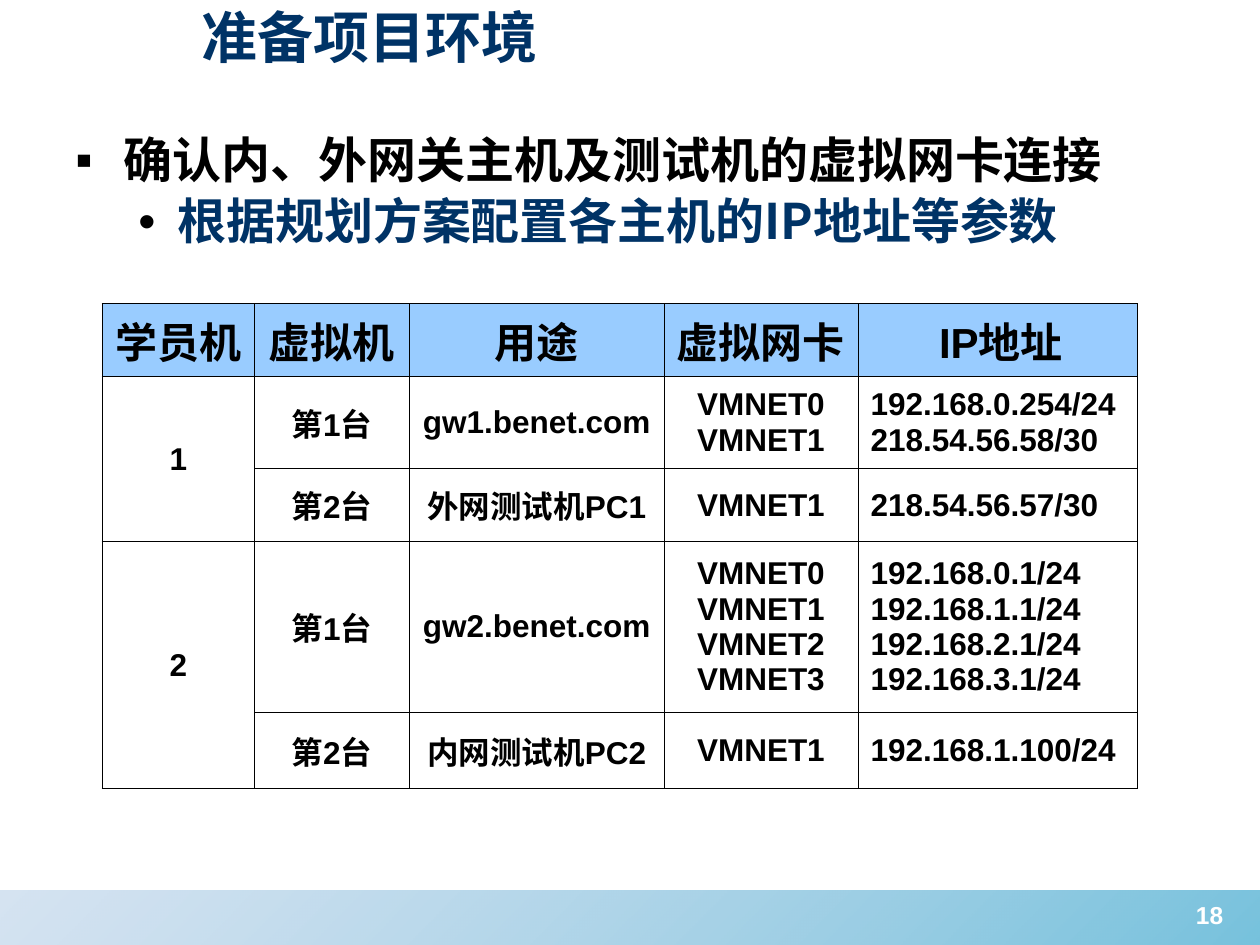
from lxml import etree
from pptx import Presentation
from pptx import util as u
from pptx.dml.color import RGBColor
from pptx.enum import shapes, text
from pptx.oxml import ns, parse_xml

COLORS = {"navy": "003366", "black": "000000", "white": "FFFFFF",
          "header": "99CCFF", "band_dark": "1C99C6", "band_light": "88B0D8"}
LATIN, CJK = "Arial", "Noto Sans CJK SC"

TITLE = "准备项目环境"
BULLETS = [
    ("确认内、外网关主机及测试机的虚拟网卡连接", "▪", 0.38, 0.38, "black", LATIN),
    ("根据规划方案配置各主机的IP地址等参数", "•", 0.81, 0.31, "navy", CJK),
]
PAGE_NUMBER = "18"
COLUMN_WIDTHS = [1.21, 1.23, 2.02, 1.54, 2.22]
ROW_HEIGHTS = [0.58, 0.73, 0.58, 1.35, 0.61]
ROWS = [
    ["学员机", "虚拟机", "用途", "虚拟网卡", "IP地址"],
    ["1", "第1台", "gw1.benet.com", "VMNET0\nVMNET1", "192.168.0.254/24\n218.54.56.58/30"],
    ["", "第2台", "外网测试机PC1", "VMNET1", "218.54.56.57/30"],
    ["2", "第1台", "gw2.benet.com", "VMNET0\nVMNET1\nVMNET2\nVMNET3",
     "192.168.0.1/24\n192.168.1.1/24\n192.168.2.1/24\n192.168.3.1/24"],
    ["", "第2台", "内网测试机PC2", "VMNET1", "192.168.1.100/24"],
]
GRADIENT_STOPS = [(0, "band_dark", 60), (100, "band_light", 35)]


def child(parent, tag, **attributes):
    return etree.SubElement(parent, ns.qn(tag), attributes)


def format_paragraph(paragraph, size, color, latin=LATIN, align=text.PP_ALIGN.LEFT):
    paragraph.alignment = align
    for run in paragraph.runs:
        run.font.size = u.Pt(size)
        run.font.bold = True
        run.font.color.rgb = RGBColor.from_string(COLORS[color])
        run.font.name = latin
        child(run.font._element, "a:ea", typeface=CJK)


def add_text_frame(slide, left, top, width, height):
    frame = slide.shapes.add_textbox(*map(u.Inches, (left, top, width, height))).text_frame
    frame.word_wrap = True
    return frame


def add_shadow(run):
    effects = etree.Element(ns.qn("a:effectLst"))
    shadow = child(effects, "a:outerShdw", blurRad="38100", dist="38100", dir="2700000")
    child(shadow, "a:srgbClr", val="C0C0C0")
    run.font._element.find(ns.qn("a:solidFill")).addnext(effects)


def add_band(slide):
    band = slide.shapes.add_shape(shapes.MSO_SHAPE.RECTANGLE, 0, u.Inches(7.07),
                                  u.Inches(10), u.Inches(0.43))
    band.shadow.inherit = False
    band.line.fill.background()
    stops = "".join(
        f'<a:gs pos="{position * 1000}"><a:srgbClr val="{COLORS[color]}">'
        f'<a:alpha val="{alpha * 1000}"/></a:srgbClr></a:gs>'
        for position, color, alpha in GRADIENT_STOPS)
    gradient = parse_xml(f'<a:gradFill {ns.nsdecls("a")}><a:gsLst>{stops}</a:gsLst>'
                         f'<a:lin ang="{225 * 60000}" scaled="0"/></a:gradFill>')
    band._element.spPr.find(ns.qn("a:prstGeom")).addnext(gradient)


def add_bullets(slide):
    frame = add_text_frame(slide, 0.5, 1.03, 9, 1.3)
    frame.text = "\n".join(item[0] for item in BULLETS)
    for level, (paragraph, item) in enumerate(zip(frame.paragraphs, BULLETS)):
        _, bullet, margin, hanging, color, latin = item
        properties = paragraph._p.get_or_add_pPr()
        properties.set("marL", str(u.Inches(margin)))
        properties.set("indent", str(-u.Inches(hanging)))
        child(child(properties, "a:buClr"), "a:srgbClr", val=COLORS["black"])
        child(properties, "a:buFont", typeface=LATIN)
        child(properties, "a:buChar", char=bullet)
        paragraph.level = level
        paragraph.line_spacing = 0.9
        paragraph.space_before = u.Pt(5 * level)
        format_paragraph(paragraph, 28, color, latin)
        add_shadow(paragraph.runs[0])


def style_cell(cell, content, is_header, is_address):
    cell.text = content
    cell.vertical_anchor = text.MSO_ANCHOR.MIDDLE
    cell.margin_left = u.Inches(0.1 if is_address else 0.05)
    cell.margin_right = u.Inches(0.05)
    left_aligned = is_address and not is_header
    for paragraph in cell.text_frame.paragraphs:
        format_paragraph(paragraph, 24 if is_header else 18, "black",
                         align=text.PP_ALIGN.LEFT if left_aligned else text.PP_ALIGN.CENTER)
    properties = cell._tc.get_or_add_tcPr()
    for side in ("a:lnL", "a:lnR", "a:lnT", "a:lnB"):
        line = child(properties, side, w=str(u.Pt(0.45)))
        child(child(line, "a:solidFill"), "a:srgbClr", val=COLORS["black"])
    if is_header:
        cell.fill.solid()
        cell.fill.fore_color.rgb = RGBColor.from_string(COLORS["header"])
    else:
        cell.fill.background()


def add_address_table(slide):
    table = slide.shapes.add_table(
        len(ROWS), len(COLUMN_WIDTHS), u.Inches(0.81), u.Inches(2.41),
        u.Inches(sum(COLUMN_WIDTHS)), u.Inches(sum(ROW_HEIGHTS))).table
    for column, width in zip(table.columns, COLUMN_WIDTHS):
        column.width = u.Inches(width)
    for row, height in zip(table.rows, ROW_HEIGHTS):
        row.height = u.Inches(height)
    for r, row in enumerate(ROWS):
        for c, content in enumerate(row):
            style_cell(table.cell(r, c), content, r == 0, c == len(row) - 1)
    for first in (1, 3):
        table.cell(first, 0).merge(table.cell(first + 1, 0))


def main():
    presentation = Presentation()
    presentation.slide_width, presentation.slide_height = u.Inches(10), u.Inches(7.5)
    slide = presentation.slides.add_slide(presentation.slide_layouts[6])
    add_band(slide)

    title = add_text_frame(slide, 1.5, -0.03, 8.07, 0.64)
    title.vertical_anchor = text.MSO_ANCHOR.MIDDLE
    title.text = TITLE
    format_paragraph(title.paragraphs[0], 32, "navy")

    add_bullets(slide)
    add_address_table(slide)

    number = add_text_frame(slide, 9.24, 7.09, 0.72, 0.52)
    number.text = PAGE_NUMBER
    format_paragraph(number.paragraphs[0], 14, "white", align=text.PP_ALIGN.CENTER)
    presentation.save("out.pptx")


if __name__ == "__main__":
    main()
